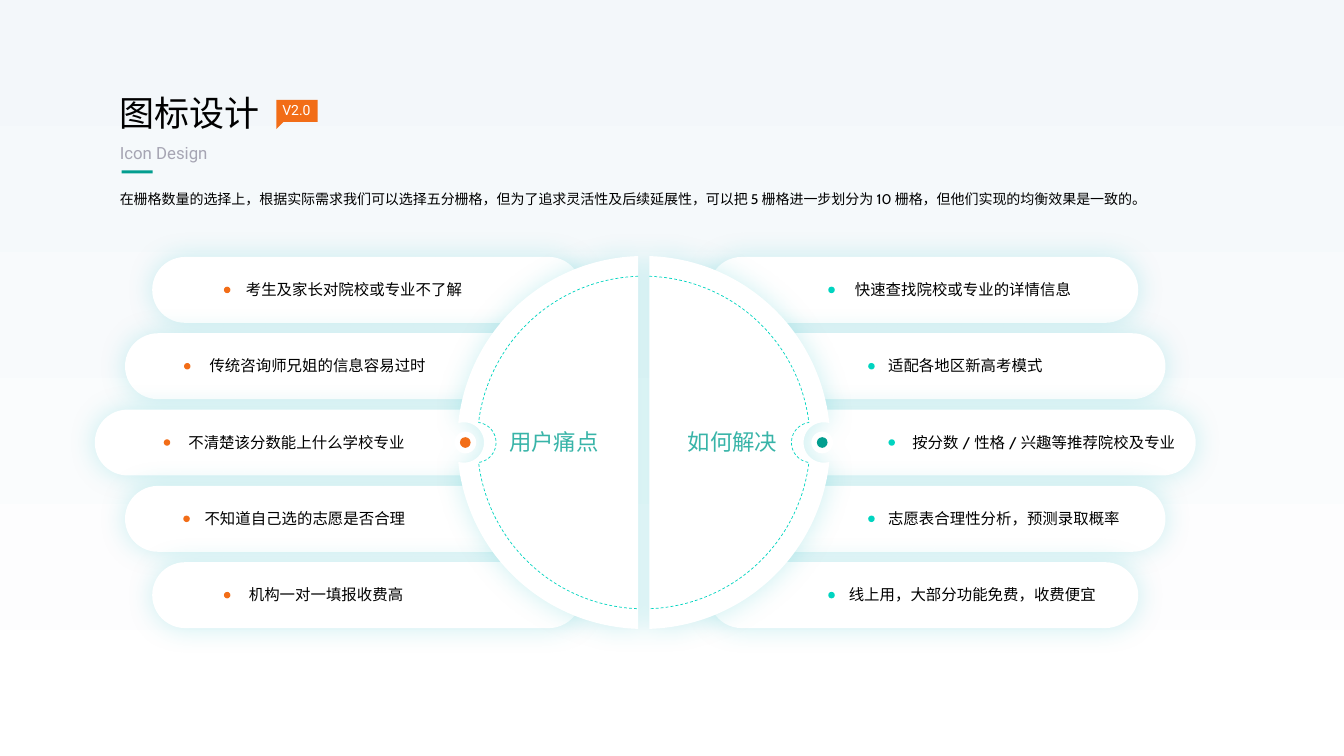
from dataclasses import dataclass
from math import asin, cos, pi, radians, sin

from lxml import etree
from pptx import Presentation
from pptx import util as u
from pptx.dml import color
from pptx.enum import dml, shapes, text
from pptx.oxml import ns
from pptx.shapes.autoshape import Shape
from pptx.slide import Slide


@dataclass(frozen=True)
class Theme:
    sky: str = "F3F7FA"
    white: str = "FFFFFF"
    ink: str = "000000"
    muted: str = "A6A5B3"
    orange: str = "F26D17"
    teal: str = "00D4C0"
    deep_teal: str = "029E8F"
    heading_teal: str = "38B4A8"
    glow: str = "00B7BE"
    display_font: str = "Roboto"
    body_font: str = "Cabin"
    title_size: float = 25
    heading_size: float = 16
    subtitle_size: float = 12
    item_size: float = 11
    small_size: float = 10
    outline: float = 0.5


@dataclass(frozen=True)
class Item:
    wording: str
    dot_column: float
    text_column: float


@dataclass(frozen=True)
class Side:
    heading: str
    heading_column: float
    direction: int
    hub_column: float
    dot_color: str
    hub_color: str
    items: tuple[Item, ...]


@dataclass(frozen=True)
class Label:
    wording: str
    column: float
    row: float
    columns: float
    rows: float
    size: float
    ink: str
    font: str
    align: text.PP_ALIGN = text.PP_ALIGN.LEFT


@dataclass(frozen=True)
class NotchedRing:
    radius: float
    notch_offset: float
    notch_sweep: float


THEME = Theme()
CELL = u.Inches(0.1)
MIDDLE_ROW, ROW_PITCH = 43.9, 7.57
DISC_AXIS, CAPSULE_AXIS = 63.85, 64.0
HALF_GAP, NOTCH_RADIUS = 0.55, 2.0
CAPSULE_COLUMNS, CAPSULE_ROWS = 42.6, 6.54
CAPSULE_REACH = (48.9, 51.6, 54.6, 51.6, 48.9)
DISC = NotchedRing(18.5, 17.85, 105)
DASHED_RING = NotchedRing(16.5, 16.65, 82)
DOT, HUB_RIM, HUB_CORE = 0.64, 2.16, 1.06

SIDES = (
    Side("用户痛点", 48.3, -1, 46.15, THEME.orange, THEME.orange, (
        Item("考生及家长对院校或专业不了解", 22.53, 23.4),
        Item("传统咨询师兄姐的信息容易过时", 18.57, 19.8),
        Item("不清楚该分数能上什么学校专业", 16.56, 17.7),
        Item("不知道自己选的志愿是否合理", 18.5, 19.3),
        Item("机构一对一填报收费高", 22.53, 23.7))),
    Side("如何解决", 66.0, 1, 81.55, THEME.teal, THEME.deep_teal, (
        Item("快速查找院校或专业的详情信息", 82.47, 83.8),
        Item("适配各地区新高考模式", 86.43, 87.1),
        Item("按分数/性格/兴趣等推荐院校及专业", 88.44, 89.5),
        Item("志愿表合理性分析，预测录取概率", 86.43, 87.1),
        Item("线上用，大部分功能免费，收费便宜", 82.47, 83.2))),
)

HEADER = (
    Label("图标设计", 10.9, 8.6, 16.8, 5.2, THEME.title_size, THEME.ink, THEME.display_font),
    Label("V2.0", 25.5, 9.6, 7.8, 2.7, THEME.small_size, THEME.white,
          THEME.display_font, text.PP_ALIGN.CENTER),
    Label("Icon Design", 10.9, 13.7, 16.8, 3, THEME.subtitle_size, THEME.muted, THEME.display_font),
    Label("在栅格数量的选择上，根据实际需求我们可以选择五分栅格，但为了追求灵活性及后续延展性，"
          "可以把5栅格进一步划分为10栅格，但他们实现的均衡效果是一致的。",
          10.9, 18.4, 105.7, 2.7, THEME.small_size, THEME.ink, THEME.body_font),
)
BADGE = [(27.4, 9.9), (31.5, 9.9), (31.5, 12.1), (28.1, 12.1), (27.4, 12.8)]


def cells(count: float) -> u.Emu:
    return u.Emu(round(count * CELL))


def rgb(value: str) -> color.RGBColor:
    return color.RGBColor.from_string(value)


def paint(shape: Shape, fill: str) -> None:
    shape.shadow.inherit = False
    shape.fill.solid()
    shape.fill.fore_color.rgb = rgb(fill)
    shape.line.fill.background()


def add_glow(shape: Shape) -> None:
    effects = shape.element.spPr.find(ns.qn("a:effectLst"))
    shadow = etree.SubElement(effects, ns.qn("a:outerShdw"), blurRad=str(u.Pt(20)),
                              dist="0", dir="0", algn="ctr", rotWithShape="0")
    tint = etree.SubElement(shadow, ns.qn("a:srgbClr"), val=THEME.glow)
    etree.SubElement(tint, ns.qn("a:alpha"), val="20000")


def draw_preset(slide: Slide, kind: shapes.MSO_SHAPE, center: float, middle: float,
                columns: float, rows: float, fill: str) -> Shape:
    shape = slide.shapes.add_shape(kind, cells(center - columns / 2), cells(middle - rows / 2),
                                   cells(columns), cells(rows))
    paint(shape, fill)
    return shape


def draw_outline(slide: Slide, contours: list[list[tuple[float, float]]], close: bool) -> Shape:
    scaled = [[(cells(x), cells(y)) for x, y in contour] for contour in contours]
    builder = slide.shapes.build_freeform(*scaled[0][0])
    for contour in scaled:
        builder.move_to(*contour[0])
        builder.add_line_segments(contour[1:], close=close)
    return builder.convert_to_shape()


def half_ring(ring: NotchedRing, direction: int, steps: int = 48) -> list[tuple[float, float]]:
    sweep = radians(ring.notch_sweep)
    start = asin(HALF_GAP / ring.radius)
    end = pi / 2 - asin(NOTCH_RADIUS * sin(sweep) / ring.radius)
    angles = [start + (end - start) * step / steps for step in range(steps + 1)]
    upper = [(ring.radius * sin(a), -ring.radius * cos(a)) for a in angles]
    turns = [sweep * (2 * step / steps - 1) for step in range(1, steps)]
    notch = [(ring.notch_offset - NOTCH_RADIUS * cos(a), NOTCH_RADIUS * sin(a)) for a in turns]
    lower = [(x, -y) for x, y in reversed(upper)]
    return [(DISC_AXIS + direction * x, MIDDLE_ROW + y) for x, y in upper + notch + lower]


def draw_label(slide: Slide, label: Label) -> None:
    box = slide.shapes.add_textbox(cells(label.column), cells(label.row),
                                   cells(label.columns), cells(label.rows))
    box.text_frame.word_wrap = True
    paragraph = box.text_frame.paragraphs[0]
    paragraph.text = label.wording
    paragraph.alignment = label.align
    paragraph.font.size = u.Pt(label.size)
    paragraph.font.name = label.font
    paragraph.font.color.rgb = rgb(label.ink)


def draw_items(slide: Slide, side: Side) -> None:
    for index, item in enumerate(side.items):
        middle = MIDDLE_ROW + (index - 2) * ROW_PITCH
        center = CAPSULE_AXIS + side.direction * (CAPSULE_REACH[index] - CAPSULE_COLUMNS / 2)
        capsule = draw_preset(slide, shapes.MSO_SHAPE.ROUNDED_RECTANGLE, center, middle,
                              CAPSULE_COLUMNS, CAPSULE_ROWS, THEME.white)
        capsule.adjustments[0] = 0.5
        add_glow(capsule)
    for index, item in enumerate(side.items):
        middle = MIDDLE_ROW + (index - 2) * ROW_PITCH
        draw_preset(slide, shapes.MSO_SHAPE.OVAL, item.dot_column, middle, DOT, DOT, side.dot_color)
        draw_label(slide, Label(item.wording, item.text_column, middle - 1.45, 29.5, 2.9,
                                THEME.item_size, THEME.ink, THEME.body_font))


def draw_disc(slide: Slide) -> None:
    disc = draw_outline(slide, [half_ring(DISC, side.direction) for side in SIDES], True)
    paint(disc, THEME.white)
    add_glow(disc)
    dashes = draw_outline(slide, [half_ring(DASHED_RING, side.direction) for side in SIDES], False)
    dashes.shadow.inherit = False
    dashes.fill.background()
    dashes.line.color.rgb = rgb(THEME.teal)
    dashes.line.width = u.Pt(THEME.outline)
    dashes.line.dash_style = dml.MSO_LINE.DASH
    for side in SIDES:
        for size, fill in ((HUB_RIM, THEME.white), (HUB_CORE, side.hub_color)):
            draw_preset(slide, shapes.MSO_SHAPE.OVAL, side.hub_column, MIDDLE_ROW, size, size, fill)
        draw_label(slide, Label(side.heading, side.heading_column, 42, 13.3, 3.7,
                                THEME.heading_size, THEME.heading_teal, THEME.display_font,
                                text.PP_ALIGN.CENTER))


def main() -> None:
    deck = Presentation()
    deck.slide_width, deck.slide_height = u.Inches(13.33), u.Inches(7.5)
    slide = deck.slides.add_slide(deck.slide_layouts[6])
    backdrop = slide.background.fill
    backdrop.gradient()
    backdrop.gradient_angle = 270
    for stop, tint in zip(backdrop.gradient_stops, (THEME.sky, THEME.white)):
        stop.color.rgb = rgb(tint)
    for side in SIDES:
        draw_items(slide, side)
    draw_disc(slide)
    draw_preset(slide, shapes.MSO_SHAPE.RECTANGLE, 13.6, 17.05, 3.1, 0.3, THEME.deep_teal)
    paint(draw_outline(slide, [BADGE], True), THEME.orange)
    for label in HEADER:
        draw_label(slide, label)
    deck.save("out.pptx")


if __name__ == "__main__":
    main()
